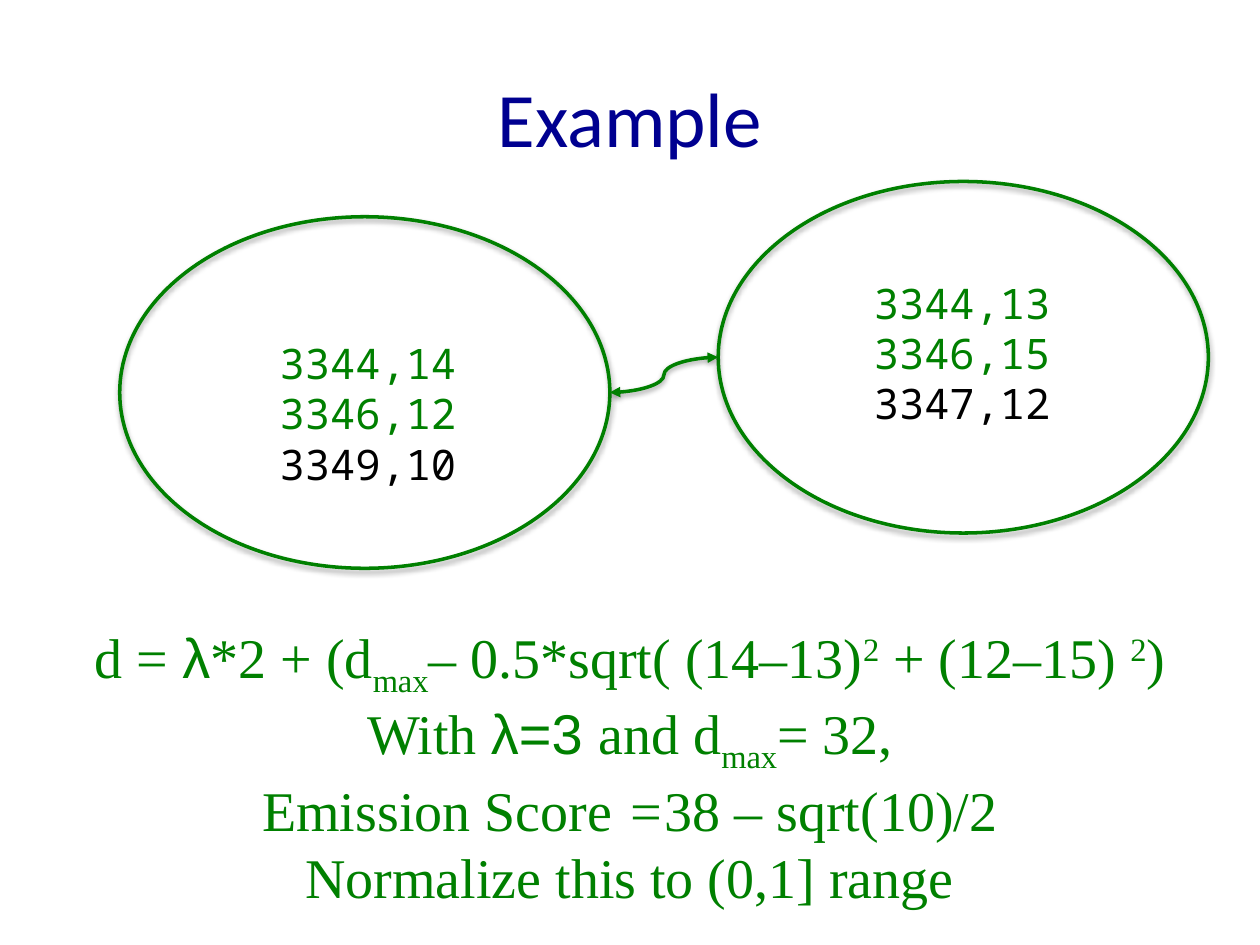
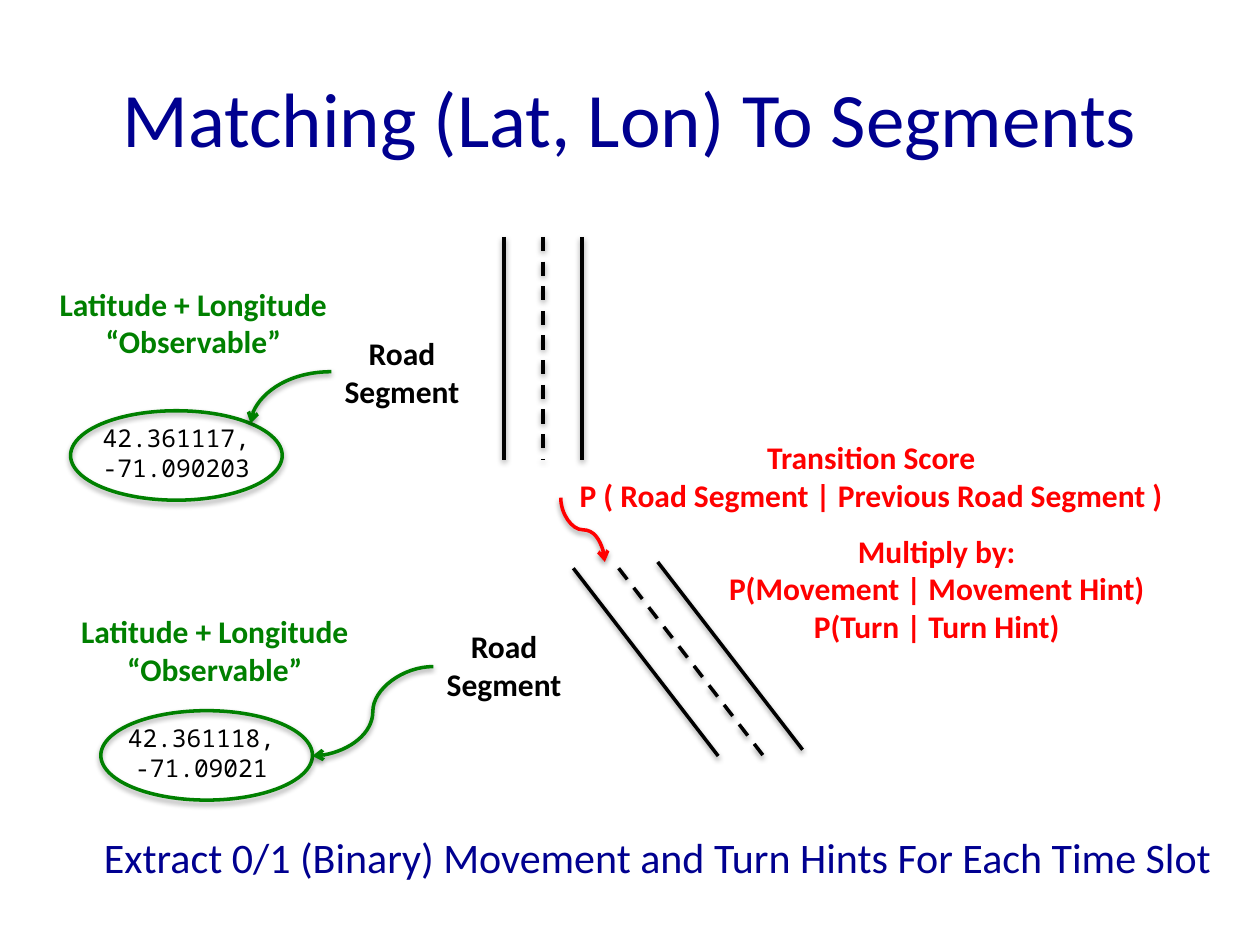
"""Build two slides on matching coordinates to road segments."""
from lxml.etree import SubElement
from pptx import Presentation
from pptx.dml.color import RGBColor
from pptx.enum.dml import MSO_LINE_DASH_STYLE as Dash
from pptx.enum.shapes import MSO_CONNECTOR as Link, MSO_SHAPE as Preset
from pptx.enum.text import MSO_ANCHOR as Anchor, MSO_AUTO_SIZE as Fit, PP_ALIGN as Align
from pptx.oxml.ns import qn
from pptx.util import Inches, Pt

COLUMNS, ROWS = 100, 75
NAVY, GREEN, RED, BLACK = "000090", "008000", "FF0000", "000000"
TITLE = {"name": "Calibri", "size": Pt(44), "color": NAVY}
LABEL = {"name": "Calibri", "size": Pt(18), "bold": True}
CODE = {"name": "Noto Sans Mono", "color": BLACK}
FORMULA = {"name": "Times New Roman", "size": Pt(32), "color": GREEN}
GREEK = {"name": "Arial"}
SUB, SUP = {"baseline": "-25000"}, {"baseline": "30000"}


def rgb(code):
    return RGBColor.from_string(code)


class Deck:
    def __init__(self):
        self.show = Presentation()
        self.show.slide_width, self.show.slide_height = Inches(10), Inches(7.5)
        self.slide = None

    def x(self, columns):
        return round(self.show.slide_width * columns / COLUMNS)

    def y(self, rows):
        return round(self.show.slide_height * rows / ROWS)

    def box(self, left, top, width, height):
        return self.x(left), self.y(top), self.x(width), self.y(height)

    def new_slide(self, heading):
        self.slide = self.show.slides.add_slide(self.show.slide_layouts[5])
        title = self.slide.shapes.title
        title.left, title.top, title.width, title.height = self.box(5, 3, 90, 12.5)
        title.text_frame.vertical_anchor = Anchor.MIDDLE
        self.set_lines(title.text_frame, [heading], TITLE)

    def set_lines(self, frame, lines, style):
        for number, line in enumerate(lines):
            paragraph = frame.add_paragraph() if number else frame.paragraphs[0]
            paragraph.alignment = Align.CENTER
            for words, changes in [(line, {})] if isinstance(line, str) else line:
                run = paragraph.add_run()
                run.text = words
                for key, value in {**style, **changes}.items():
                    if key == "color":
                        run.font.color.rgb = rgb(value)
                    elif key == "baseline":
                        run.font._element.set(key, value)
                    else:
                        setattr(run.font, key, value)

    def text(self, place, lines, style, wrap=False):
        frame = self.slide.shapes.add_textbox(*self.box(*place)).text_frame
        for key, value in {"word_wrap": wrap, "auto_size": Fit.SHAPE_TO_FIT_TEXT}.items():
            setattr(frame, key, value)
        self.set_lines(frame, lines, style)

    def shade(self, shape, distance, alpha):
        effects = SubElement(shape._element.spPr, qn("a:effectLst"))
        shadow = SubElement(effects, qn("a:outerShdw"), blurRad="40000",
                            dist=str(distance), dir="5400000", rotWithShape="0")
        tint = SubElement(shadow, qn("a:srgbClr"), val=BLACK)
        SubElement(tint, qn("a:alpha"), val=str(alpha))

    def stroke(self, shape, color, dash=None):
        shape.line.color.rgb = rgb(color)
        shape.line.width = Pt(2)
        if dash:
            shape.line.dash_style = dash

    def ellipse(self, place):
        oval = self.slide.shapes.add_shape(Preset.OVAL, *self.box(*place))
        oval.fill.background()
        self.stroke(oval, GREEN)
        self.shade(oval, 23000, 35000)

    def connect(self, kind, start, end, color, dash=None, **heads):
        link = self.slide.shapes.add_connector(
            kind, self.x(start[0]), self.y(start[1]), self.x(end[0]), self.y(end[1]))
        self.stroke(link, color, dash)
        for side, head in heads.items():
            SubElement(link._element.spPr.find(qn("a:ln")), qn(f"a:{side}"), type=head)
        self.shade(link, 20000, 38000)
        return link

    def line(self, start, end, dash=None):
        self.connect(Link.STRAIGHT, start, end, BLACK, dash)

    def curve(self, start, end, color, **heads):
        return self.connect(Link.CURVE, start, end, color, **heads)

    def bend(self, start, end, color, **heads):
        link = self.curve(start, end, color, **heads)
        link._element.spPr.find(qn("a:prstGeom")).set("prst", "curvedConnector2")

    def falling_curve(self, start, end, color, **heads):
        middle_x, middle_y = (start[0] + end[0]) / 2, (start[1] + end[1]) / 2
        across, down = (end[0] - start[0]) / 2, (end[1] - start[1]) / 2
        link = self.curve((middle_x + down, middle_y - across),
                          (middle_x - down, middle_y + across), color, **heads)
        link._element.spPr.find(qn("a:xfrm")).set("rot", "16200000")


def example(deck):
    deck.new_slide("Example")
    width, height = 38.9, 27.9
    near, far = (9.5, 17.2), (57, 14.4)
    matched = {"color": GREEN}
    readings = [
        (near, (13.8, 26.3, 30.8, 13.1), ("3344,14", "3346,12", "3349,10")),
        (far, (56.9, 21.5, 38.9, 13.1), ("3344,13", "3346,15", "3347,12")),
    ]
    for corner, place, (first, second, unmatched) in readings:
        deck.ellipse((*corner, width, height))
        lines = [[(first, matched)], [(second, matched)], unmatched]
        deck.text(place, lines, {**CODE, "size": Pt(24)}, wrap=True)
    deck.curve((far[0], far[1] + height / 2), (near[0] + width, near[1] + height / 2),
               GREEN, headEnd="triangle", tailEnd="triangle")
    score = [
        [("d = ", {}), ("λ", GREEK), ("*2 + (d", {}), ("max", SUB),
         ("– 0.5*sqrt( (14–13)", {}), ("2", SUP), (" + (12–15) ", {}), ("2", SUP), (")", {})],
        [("With ", {}), ("λ=3 ", GREEK), ("and d", {}), ("max", SUB), ("= 32,", {})],
        [("Emission Score ", {}), ("=", {"italic": True}), ("38 – sqrt(10)/2", {})],
        "Normalize this to (0,1] range",
    ]
    deck.text((5, 48.9, 90, 22.6), score, FORMULA, wrap=True)


def matching(deck):
    deck.new_slide("Matching (Lat, Lon) To Segments")
    observations = [
        ((5.6, 32.6), (6.5, 33.1), (3.6, 22.1), (26.3, 26), ["42.361117,", "-71.090203"]),
        ((8, 56.4), (8.5, 56.9), (5.3, 48.1), (34.4, 49.3), ["42.361118,", "-71.09021"]),
    ]
    for oval, point, caption, road, position in observations:
        deck.ellipse((*oval, 16.8, 7.1))
        deck.text((*point, 15, 5.7), position, {**CODE, "size": Pt(14)}, wrap=True)
        deck.text((*caption, 23.5, 7.1), ["Latitude + Longitude", "“Observable”"],
                  {**LABEL, "color": GREEN})
        deck.text((*road, 11.2, 7.1), ["Road", "Segment"], {**LABEL, "color": BLACK})
    deck.bend((26.3, 29.5), (19.9, 33.6), GREEN, tailEnd="arrow")
    deck.curve((34.4, 52.9), (24.8, 60), GREEN, tailEnd="arrow")
    deck.falling_curve((44.5, 39.5), (48, 44.6), RED, tailEnd="arrow")

    roads = [((0, 17.7), [(40, 18.8), (43.1, 18.8), (46.2, 18.8)]),
             ((11.5, 14.9), [(45.5, 45.1), (49.1, 45.1), (52.2, 44.6)])]
    for (across, down), starts in roads:
        for (left, top), dash in zip(starts, (None, Dash.DASH, None)):
            deck.line((left, top), (left + across, top + down), dash)

    warning = {**LABEL, "color": RED}
    deck.text((44.5, 34.3, 49.3, 7.1),
              ["Transition Score", "P ( Road Segment | Previous Road Segment )"], warning)
    deck.text((56.7, 41.7, 35.3, 10.1),
              ["Multiply by:", "P(Movement | Movement Hint)", "P(Turn | Turn Hint)"], warning)
    deck.text((5.8, 65.5, 92.8, 5),
              ["Extract 0/1 (Binary) Movement and Turn Hints For Each Time Slot"],
              {**TITLE, "size": Pt(24)})


def main():
    deck = Deck()
    example(deck)
    matching(deck)
    deck.show.save("out.pptx")


if __name__ == "__main__":
    main()
